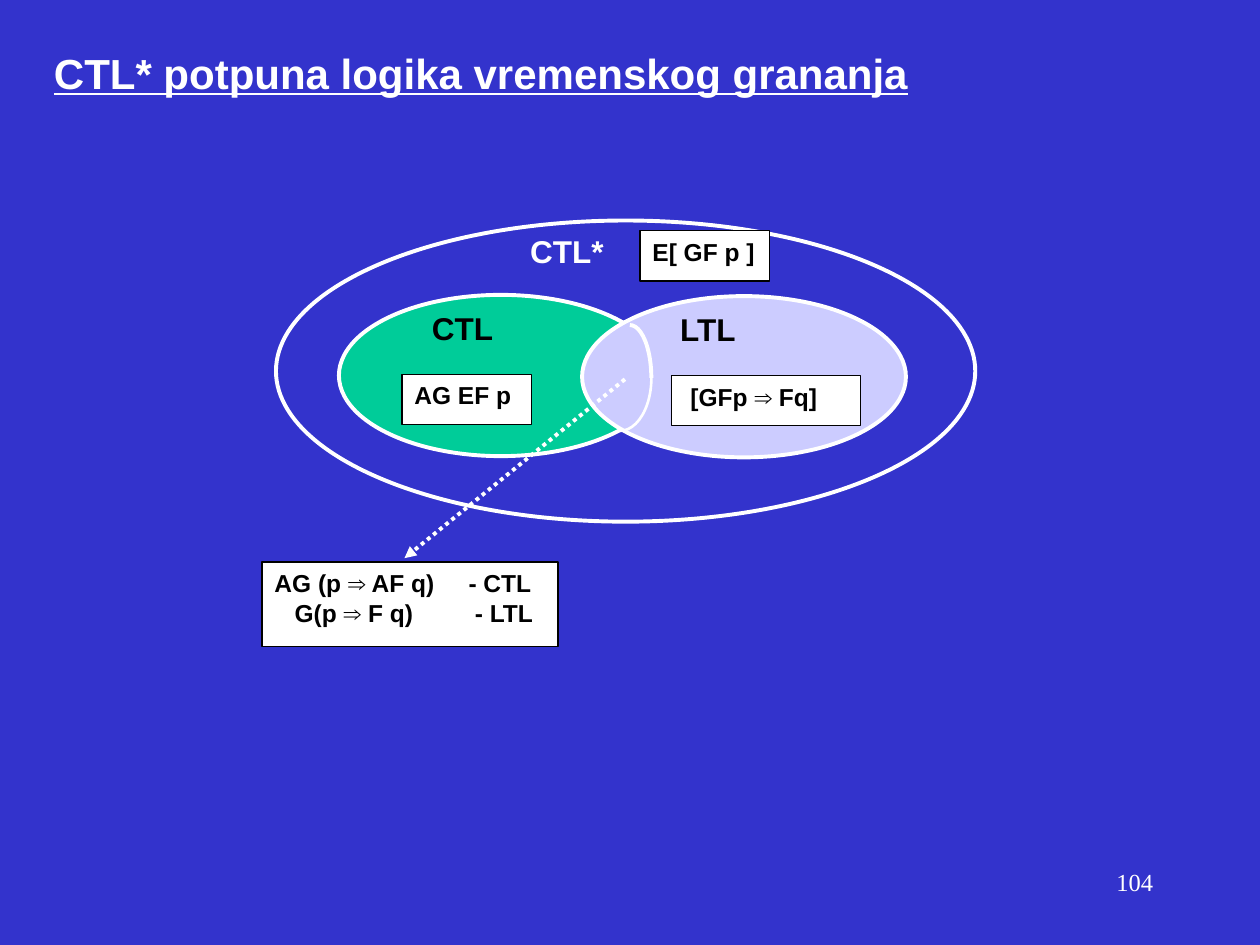
"""Build a slide with a Venn diagram of the CTL*, CTL and LTL logics."""
from dataclasses import dataclass

from lxml.etree import SubElement
from pptx import Presentation
from pptx.dml.color import RGBColor as RGB
from pptx.enum.dml import MSO_LINE_DASH_STYLE as Dash
from pptx.enum.shapes import MSO_CONNECTOR as Conn, MSO_SHAPE as Shape
from pptx.enum.text import MSO_ANCHOR as Anchor, PP_ALIGN as Align
from pptx.oxml.ns import qn
from pptx.util import Inches, Pt

COLS, ROWS = 100, 75


@dataclass(frozen=True)
class Theme:
    """Colours, fonts and type sizes of the slide."""
    back: RGB = RGB(0x33, 0x33, 0xCC)
    white: RGB = RGB(0xFF, 0xFF, 0xFF)
    black: RGB = RGB(0, 0, 0)
    green: RGB = RGB(0x00, 0xCC, 0x99)
    lilac: RGB = RGB(0xCC, 0xCC, 0xFF)
    sans: str = "Arial"
    serif: str = "Times New Roman"
    title: int = 24
    label: int = 18
    formula: int = 14
    thick: float = 2.25
    medium: float = 1.5
    thin: float = 0.75


T = Theme()


def cells(*values):
    """Turn grid cells into lengths, with a hundred columns across the slide."""
    return [Inches(10 * v / COLS) for v in values]


def add_tabs(p, stops):
    """Give a paragraph left tab stops, in grid cells."""
    tab_list = SubElement(p._p.get_or_add_pPr(), qn("a:tabLst"))
    for pos in cells(*stops):
        SubElement(tab_list, qn("a:tab"), pos=str(pos), algn="l")


def write(sp, lines, size, color, font=T.sans, bold=True, underline=None,
          align=Align.LEFT, wrap=True, indent=1):
    """Write (text, tab stops) lines into a shape."""
    tf = sp.text_frame
    tf.word_wrap, tf.vertical_anchor = wrap, Anchor.TOP
    tf.margin_left = cells(indent)[0]
    for i, (text, stops) in enumerate(lines):
        p = tf.add_paragraph() if i else tf.paragraphs[0]
        p.alignment = align
        if stops:
            add_tabs(p, stops)
        r = p.add_run()
        r.text = text
        f = r.font
        f.name, f.size, f.bold, f.underline = font, Pt(size), bold, underline
        f.color.rgb = color


def add_text(s, box, text, size, color, **style):
    """Add a one-line text box."""
    write(s.shapes.add_textbox(*cells(*box)), [(text, ())], size, color, **style)


def add_outline(s, kind, box, color, width, fill=None):
    """Add a preset shape with an outline and an optional fill."""
    sp = s.shapes.add_shape(kind, *cells(*box))
    sp.shadow.inherit = False
    if fill is None:
        sp.fill.background()
    else:
        sp.fill.solid()
        sp.fill.fore_color.rgb = fill
    sp.line.color.rgb, sp.line.width = color, Pt(width)
    return sp


def add_formula(s, box, lines, indent=1):
    """Add a white box that holds formulas."""
    sp = add_outline(s, Shape.RECTANGLE, box, T.black, T.thin, T.white)
    write(sp, lines, T.formula, T.black, indent=indent)


def add_arrow(s, start, end):
    """Add a dotted arrow between two grid points."""
    c = s.shapes.add_connector(Conn.STRAIGHT, *cells(*start, *end))
    c.line.color.rgb, c.line.width = T.white, Pt(T.thick)
    c.line.dash_style = Dash.ROUND_DOT
    SubElement(c.line._get_or_add_ln(), qn("a:tailEnd"), type="triangle")
    SubElement(c._element.spPr, qn("a:effectLst"))


def add_arc(s, box, width, start, sweep_end):
    """Add an arc of an ellipse between two angles in degrees."""
    sp = add_outline(s, Shape.ARC, box, T.white, width)
    for i, angle in enumerate((start, sweep_end)):
        sp.adjustments[i] = angle * 0.6


def main():
    """Build the slide and save it."""
    prs = Presentation()
    prs.slide_width, prs.slide_height = cells(COLS, ROWS)
    s = prs.slides.add_slide(prs.slide_layouts[6])
    s.background.fill.solid()
    s.background.fill.fore_color.rgb = T.back

    add_text(s, (3.3, 3.3, 96.7, 5), "CTL* potpuna logika vremenskog grananja",
             T.title, T.white, underline=True)
    for box, fill in (((21.9, 17.5, 55.5, 23.9), None),
                      ((26.9, 23.4, 25.7, 12.8), T.green),
                      ((46.2, 23.5, 25.7, 12.8), T.lilac)):
        add_outline(s, Shape.OVAL, box, T.white, T.thick, fill)
    for x, y, text, color in ((41.1, 17.9, "CTL*", T.white),
                              (33.3, 24, "CTL", T.black),
                              (53, 24.1, "LTL", T.black)):
        add_text(s, (x, y, 8.5, 4.3), text, T.label, color, wrap=False)

    add_formula(s, (31.9, 29.7, 10.3, 4), [("AG EF p", ())])
    add_formula(s, (53.3, 29.8, 15, 4), [("[GFp ⇒ Fq]", ())], indent=1.5)
    add_formula(s, (50.8, 18.3, 10.3, 4), [("E[ GF p ]", ())])
    add_formula(s, (20.8, 44.6, 23.5, 6.7),
                [("AG (p ⇒ AF q)\t- CTL", (15.4,)),
                 ("\tG(p ⇒ F q)\t- LTL", (1.6, 15.9))])

    add_arrow(s, (49.6, 30.1), (32.1, 44.3))
    add_arc(s, (48.3, 25.8, 3.4, 8.4), T.thick, 270, 0)
    add_arc(s, (46.7, 25.8, 5, 8.4), T.medium, 0, 90)
    add_text(s, (71.7, 68.3, 20.8, 5), "104", T.formula, T.white,
             font=T.serif, bold=False, align=Align.RIGHT)
    prs.save("out.pptx")


if __name__ == "__main__":
    main()
